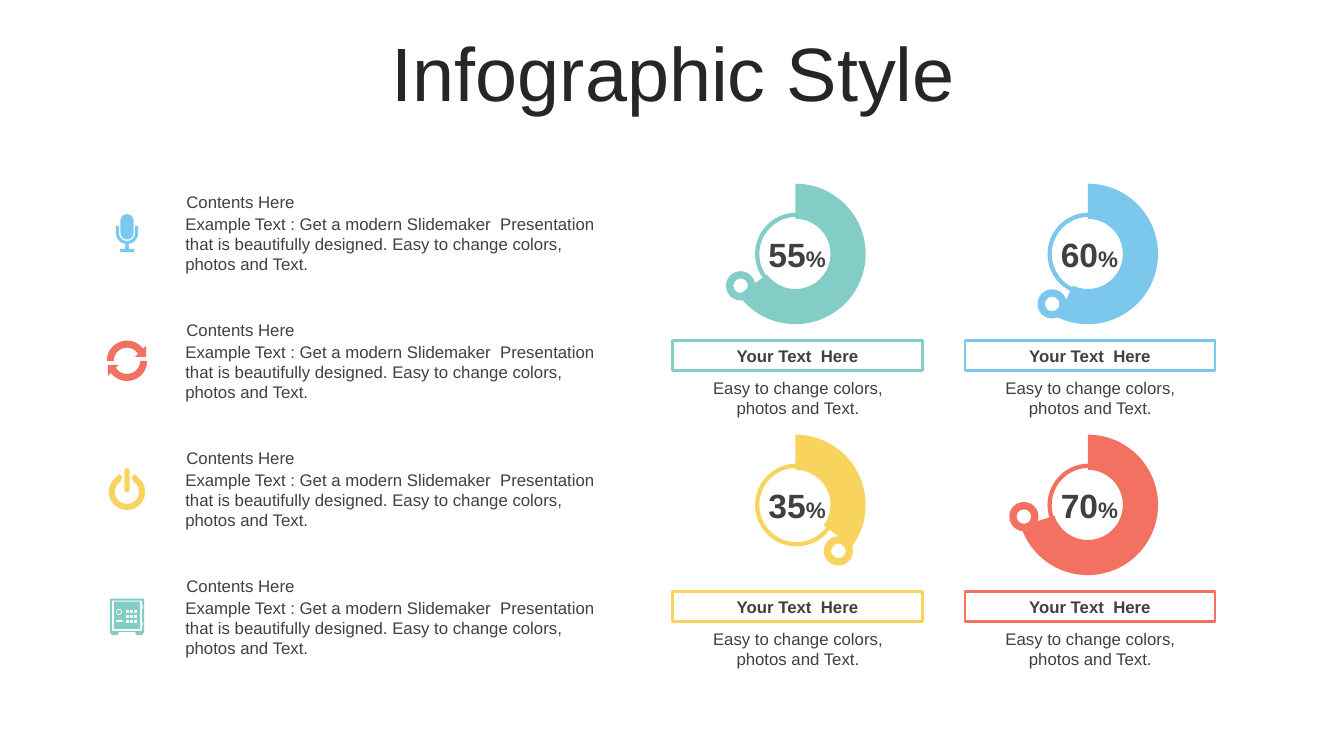
"""Build the infographic slide with four icon rows and four doughnut gauges."""
import math

from lxml import etree
from pptx import Presentation
from pptx import util as u
from pptx.chart.data import CategoryChartData
from pptx.dml.color import RGBColor
from pptx.enum import chart as charts, shapes, text
from pptx.oxml.ns import qn

TITLE = "Infographic Style"
HEADING = "Contents Here"
BODY = ("Example Text : Get a modern Slidemaker  Presentation that is beautifully "
        "designed. Easy to change colors, photos and Text.")
LABEL = "Your Text  Here"
CAPTION = "Easy to change colors, photos and Text."
FONT, DARK, TITLE_COLOR = "Arial", "404040", "262626"
TEAL, BLUE, YELLOW, RED = "84CCC6", "7CC8EC", "F8D45E", "F27161"

GAUGES = [
    {"shown": "55", "slice": 65, "color": TEAL, "marker": (-0.55, 0.32)},
    {"shown": "60", "slice": 57, "color": BLUE, "marker": (-0.36, 0.5)},
    {"shown": "35", "slice": 35, "color": YELLOW, "marker": (0.42, 0.46)},
    {"shown": "70", "slice": 70, "color": RED, "marker": (-0.64, 0.12)},
]
GAUGE_X, GAUGE_Y, GAUGE_DX, GAUGE_DY = 7.9, 2.52, 2.9, 2.49
ICON_X, ROW_Y, ROW_DY = 1.26, 2.31, 1.27


def inch(value):
    return u.Cm(value * 2.54)


def rgb(color):
    return RGBColor.from_string(color)


def arc(x, y, radius, start, end, steps=24):
    angles = [math.radians(start + (end - start) * i / steps) for i in range(steps + 1)]
    return [(x + radius * math.cos(a), y + radius * math.sin(a)) for a in angles]


def capsule(top, bottom, radius):
    return arc(0, top, radius, 180, 360) + arc(0, bottom, radius, 0, 180)


def box(left, top, right, bottom):
    return [(left, top), (right, top), (right, bottom), (left, bottom)]


def microphone():
    stand = ([(0.11, -0.07)] + arc(0, 0, 0.11, 0, 82)
             + [(0.02, 0.16), (0.07, 0.16), (0.07, 0.19), (-0.07, 0.19), (-0.07, 0.16), (-0.02, 0.16)]
             + arc(0, 0, 0.11, 98, 180) + [(-0.11, -0.07), (-0.08, -0.07)]
             + arc(0, 0, 0.08, 180, 0) + [(0.08, -0.07)])
    return [stand, capsule(-0.12, 0, 0.065)]


def refresh():
    arrow = (arc(0, 0, 0.2, 0, 143)
             + [(-0.19, 0.15), (-0.19, 0.04), (-0.08, 0.04), (-0.11, 0.07)]
             + arc(0, 0, 0.13, 145, 0))
    return [arrow, [(-x, -y) for x, y in arrow]]


def power():
    ring = (arc(0, 0.03, 0.18, -60, 240) + arc(-0.08, -0.11, 0.03, 240, 420)
            + arc(0, 0.03, 0.12, 240, -60) + arc(0.08, -0.11, 0.03, 120, 300))
    return [ring, capsule(-0.18, 0.01, 0.025)]


def safe():
    body = [(-0.17, -0.18), (0.17, -0.18), (0.17, 0.15), (0.15, 0.18), (0.09, 0.18),
            (0.08, 0.15), (-0.08, 0.15), (-0.09, 0.18), (-0.15, 0.18), (-0.17, 0.15)]
    frame, door = box(-0.15, -0.16, 0.15, 0.14), box(-0.13, -0.15, 0.13, 0.12)
    hinges = [box(0.15, top, 0.16, top + 0.04) for top in (-0.12, 0.05)]
    keys = [box(x, y, x + 0.03, y + 0.03)
            for x in (-0.01, 0.03, 0.07) for y in (-0.07, -0.02, 0.03)]
    dial = [arc(-0.08, -0.05, radius, 0, 360) for radius in (0.03, 0.02)]
    return [body, frame, door, box(-0.11, 0.03, -0.04, 0.05)] + hinges + keys + dial


ROWS = [(microphone, BLUE), (refresh, RED), (power, YELLOW), (safe, TEAL)]


def add_icon(slide, contours, y, color):
    placed = [[(inch(ICON_X + dx), inch(y + dy)) for dx, dy in c] for c in contours]
    builder = slide.shapes.build_freeform(*placed[0][0], scale=1.0)
    for index, points in enumerate(placed):
        if index:
            builder.move_to(*points[0])
        builder.add_line_segments(points[1:], close=True)
    shape = builder.convert_to_shape()
    shape.shadow.inherit = False
    shape.fill.solid()
    shape.fill.fore_color.rgb = rgb(color)
    shape.line.fill.background()


def add_shape(slide, kind, place, fill=None, line=None, width=0):
    shape = slide.shapes.add_shape(kind, *map(inch, place))
    shape.shadow.inherit = False
    if fill:
        shape.fill.solid()
        shape.fill.fore_color.rgb = rgb(fill)
    else:
        shape.fill.background()
    if line:
        shape.line.color.rgb = rgb(line)
        shape.line.width = u.Pt(width)
    else:
        shape.line.fill.background()
    return shape


def write(shape, runs, align=text.PP_ALIGN.LEFT, anchor=text.MSO_ANCHOR.TOP, color=DARK, bold=False):
    frame = shape.text_frame
    frame.word_wrap = True
    frame.vertical_anchor = anchor
    paragraph = frame.paragraphs[0]
    paragraph.alignment = align
    for words, size in runs:
        run = paragraph.add_run()
        run.text = words
        run.font.name, run.font.size, run.font.bold = FONT, u.Pt(size), bold
        run.font.color.rgb = rgb(color)
    return paragraph


def add_text(slide, place, runs, **style):
    shape = slide.shapes.add_textbox(*map(inch, place))
    return shape, write(shape, runs, **style)


def add_doughnut(slide, x, y, value, color):
    data = CategoryChartData()
    data.categories = ["1", "2"]
    data.add_series("Series 1", (value, 100 - value))
    place = map(inch, (x - 0.77, y - 0.7, 1.55, 1.4))
    chart = slide.shapes.add_chart(charts.XL_CHART_TYPE.DOUGHNUT, *place, data).chart
    chart.has_legend = chart.has_title = False
    chart.font.name, chart.font.size = FONT, u.Pt(18)
    chart.font.color.rgb = rgb("000000")
    plot = chart.plots[0]
    plot.vary_by_categories = False
    filled, empty = [plot.series[0].points[i].format for i in range(2)]
    filled.fill.solid()
    filled.fill.fore_color.rgb = rgb(color)
    empty.fill.background()
    for part in (filled, empty):
        part.line.fill.background()
    area = chart.element.find(".//" + qn("c:plotArea"))
    area.find(".//" + qn("c:holeSize")).set("val", "80")
    layout = area.find(qn("c:layout"))
    if layout is None:
        layout = etree.Element(qn("c:layout"))
        area.insert(0, layout)
    manual = etree.SubElement(layout, qn("c:manualLayout"))
    for tag, setting in (("layoutTarget", "inner"), ("xMode", "edge"), ("yMode", "edge"),
                         ("x", "0.04"), ("y", "0"), ("w", "0.9"), ("h", "1")):
        etree.SubElement(manual, qn("c:" + tag)).set("val", setting)


def add_gauge(slide, x, y, gauge):
    color, (dx, dy) = gauge["color"], gauge["marker"]
    centered = {"align": text.PP_ALIGN.CENTER, "anchor": text.MSO_ANCHOR.MIDDLE}
    add_doughnut(slide, x, y, gauge["slice"], color)
    add_shape(slide, shapes.MSO_SHAPE.OVAL, (x - 0.39, y - 0.39, 0.78, 0.78), line=color, width=3)
    add_shape(slide, shapes.MSO_SHAPE.DONUT, (x + dx - 0.15, y + dy - 0.15, 0.29, 0.29), fill=color)
    add_text(slide, (x - 0.42, y - 0.25, 0.85, 0.5), [(gauge["shown"], 24), ("%", 16)],
             bold=True, **centered)
    label = add_shape(slide, shapes.MSO_SHAPE.RECTANGLE, (x - 1.23, y + 0.86, 2.48, 0.3),
                      line=color, width=2)
    write(label, [(LABEL, 12)], bold=True, **centered)
    caption, _ = add_text(slide, (x - 1.2, y + 1.18, 2.43, 0.5), [(CAPTION, 12)],
                          align=text.PP_ALIGN.CENTER)
    caption.text_frame.margin_left = caption.text_frame.margin_right = inch(0.2)


def main():
    presentation = Presentation()
    presentation.slide_width, presentation.slide_height = inch(13.33), inch(7.5)
    slide = presentation.slides.add_slide(presentation.slide_layouts[6])
    _, title = add_text(slide, (0.35, 0.37, 12.66, 0.79), [(TITLE, 54)], color=TITLE_COLOR,
                        align=text.PP_ALIGN.CENTER, anchor=text.MSO_ANCHOR.MIDDLE)
    title.line_spacing = 0.9
    for index, gauge in enumerate(GAUGES):
        row, column = divmod(index, 2)
        add_gauge(slide, GAUGE_X + column * GAUGE_DX, GAUGE_Y + row * GAUGE_DY, gauge)
    for index, (icon, color) in enumerate(ROWS):
        y = ROW_Y + index * ROW_DY
        add_text(slide, (1.74, y - 0.24, 4.36, 0.71), [(BODY, 12)])
        add_text(slide, (1.75, y - 0.46, 4.37, 0.3), [(HEADING, 12)])
        add_icon(slide, icon(), y, color)
    presentation.save("out.pptx")


if __name__ == "__main__":
    main()
